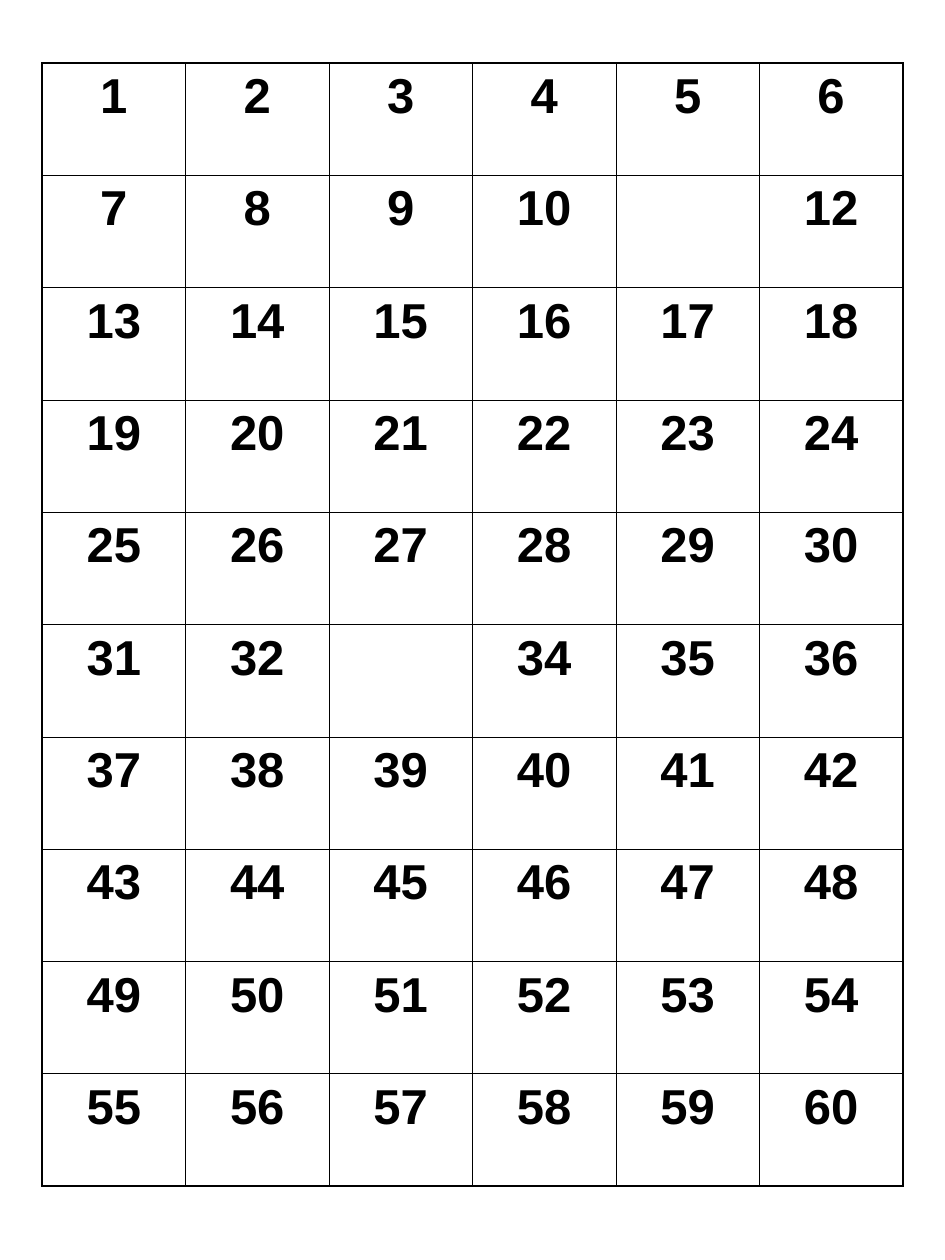
import pptx
import pptx.util
import pptx.dml.color
import pptx.enum.text
import pptx.oxml.ns
import lxml.etree

Pt = pptx.util.Pt
hues = {"ink": "000000"}
rows, cols = 10, 6
wide, high = 82, 64.2
thick, thin = 1.08, 0.45
blanks = {11, 33}


def edge(cell, side, size):
    props = cell._tc.get_or_add_tcPr()
    line = lxml.etree.SubElement(props, pptx.oxml.ns.qn("a:ln" + side), w=str(Pt(size)))
    fill = lxml.etree.SubElement(line, pptx.oxml.ns.qn("a:solidFill"))
    lxml.etree.SubElement(fill, pptx.oxml.ns.qn("a:srgbClr"), val=hues["ink"])


deck = pptx.Presentation()
deck.slide_width = Pt(540)
deck.slide_height = Pt(720)
slide = deck.slides.add_slide(deck.slide_layouts[6])

frame = slide.shapes.add_table(rows, cols, Pt(24), Pt(36), Pt(cols * wide), Pt(rows * high))
grid = frame.table
grid.first_row = False
grid.horz_banding = False
for col in grid.columns:
    col.width = Pt(wide)
for row in grid.rows:
    row.height = Pt(high)

for r in range(rows):
    for c in range(cols):
        cell = grid.cell(r, c)
        outer = {"L": c == 0, "R": c == cols - 1, "T": r == 0, "B": r == rows - 1}
        for side, rim in outer.items():
            edge(cell, side, thick if rim else thin)
        cell.fill.background()
        num = r * cols + c + 1
        if num in blanks:
            continue
        para = cell.text_frame.paragraphs[0]
        para.alignment = pptx.enum.text.PP_ALIGN.CENTER
        run = para.add_run()
        run.text = str(num)
        run.font.name = "Arial"
        run.font.size = Pt(28)
        run.font.bold = True
        run.font.color.rgb = pptx.dml.color.RGBColor.from_string(hues["ink"])

deck.save("out.pptx")
